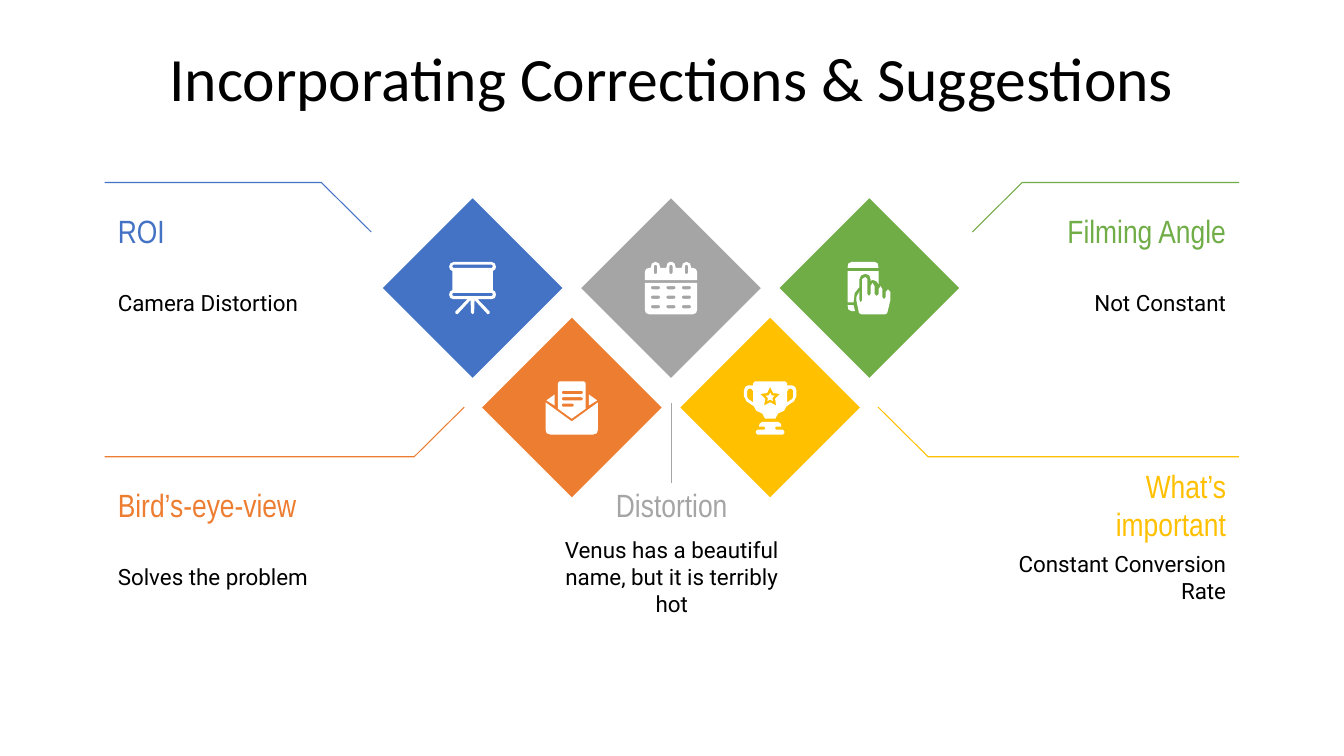
from math import cos, pi, sin

from lxml import etree
from pptx import Presentation
from pptx.dml.color import RGBColor
from pptx.enum.shapes import MSO_CONNECTOR, MSO_SHAPE
from pptx.enum.text import MSO_ANCHOR, PP_ALIGN
from pptx.oxml.ns import qn
from pptx.util import Cm, Pt

RECT = MSO_SHAPE.RECTANGLE
STRAIGHT = MSO_CONNECTOR.STRAIGHT
MIDDLE = MSO_ANCHOR.MIDDLE
LEFT, CENTER, RIGHT = PP_ALIGN.LEFT, PP_ALIGN.CENTER, PP_ALIGN.RIGHT

COLORS = {
    "blue": "4472C4", "orange": "ED7D31", "gray": "A5A5A5",
    "gold": "FFC000", "green": "70AD47", "white": "FFFFFF", "black": "000000",
}
FONTS = {
    "title": {"name": "Calibri", "size": Pt(44)},
    "heading": {"name": "Arial Narrow", "size": Pt(23)},
    "body": {"name": "Roboto", "size": Pt(16)},
}
INSET = Cm(0.33)
FRAME = {
    "word_wrap": True, "vertical_anchor": MIDDLE, "margin_left": INSET,
    "margin_right": INSET, "margin_top": INSET, "margin_bottom": INSET,
}
LEFT_EDGE, RIGHT_EDGE, MIDLINE = 2.64, 31.23, 16.93
BODY_WIDTH, HEADING_WIDTH = 6.45, 5.46
UPPER_RULE, LOWER_RULE = 4.6, 11.51
UPPER_ROW, LOWER_ROW = 7.26, 10.27
DIAMOND_SIDE, FIRST_DIAMOND, DIAMOND_STEP = 3.2, 11.91, 2.5


def rgb(color):
    return RGBColor.from_string(COLORS[color])


def set_all(target, values):
    for name, value in values.items():
        setattr(target, name, value)


def add_text(slide, words, style, color, align, left, top, width, height):
    box = slide.shapes.add_textbox(Cm(left), Cm(top), Cm(width), Cm(height))
    set_all(box.text_frame, FRAME)
    paragraph = box.text_frame.paragraphs[0]
    paragraph.alignment = align
    run = paragraph.add_run()
    run.text = words
    set_all(run.font, FONTS[style])
    run.font.color.rgb = rgb(color)


def paint(shape, color):
    shape.shadow.inherit = False
    shape.fill.solid()
    shape.fill.fore_color.rgb = rgb(color)
    shape.line.fill.background()


def add_outline(slide, contours, x=0, y=0, closed=True):
    builder = None
    for contour in contours:
        start, *rest = [(Cm(x + dx), Cm(y + dy)) for dx, dy in contour]
        if builder:
            builder.move_to(*start)
        else:
            builder = slide.shapes.build_freeform(*start)
        builder.add_line_segments(rest, close=closed)
    return builder.convert_to_shape()


def add_bent_line(slide, points, color):
    bent = add_outline(slide, [points], closed=False)
    bent.shadow.inherit = False
    bent.fill.background()
    bent.line.color.rgb = rgb(color)
    bent.line.width = Pt(0.75)


def add_line(slide, color, x1, y1, x2, y2):
    line = slide.shapes.add_connector(STRAIGHT, Cm(x1), Cm(y1), Cm(x2), Cm(y2))
    line.line.color.rgb = rgb(color)
    line.line.width = Pt(0.75)
    etree.SubElement(line._element.spPr, qn("a:effectLst"))


def add_caption(slide, heading, body, color, align, rule, heading_width, body_width):
    for words, style, ink, width, drop, height in (
        (body, "body", "black", body_width, 1.63, 2.79),
        (heading, "heading", color, heading_width, 0.67, 1.07),
    ):
        left = {LEFT: LEFT_EDGE, CENTER: MIDLINE - width / 2, RIGHT: RIGHT_EDGE - width}[align]
        add_text(slide, words, style, ink, align, left, rule + drop, width, height)


def add_callout(slide, heading, body, color, align, rule, elbow, heading_width=HEADING_WIDTH):
    edge, reach = (LEFT_EDGE, 1.26) if align == LEFT else (RIGHT_EDGE, -1.26)
    rise = 1.25 if rule == UPPER_RULE else -1.25
    add_bent_line(slide, [(elbow + reach, rule + rise), (elbow, rule), (edge, rule)], color)
    add_caption(slide, heading, body, color, align, rule, heading_width, BODY_WIDTH)


def mirrored(points):
    return [(-x, y) for x, y in points]


def symmetric(right_half):
    return right_half + mirrored(right_half)[::-1]


def pill(x, y, width, height):
    radius = min(width, height) / 2
    across, down = width / 2 - radius, height / 2 - radius
    corners = ((1, 1, 0), (-1, 1, 1), (-1, -1, 2), (1, -1, 3))
    return [(x + sx * across + radius * cos((quarter + step / 4) * pi / 2),
             y + sy * down + radius * sin((quarter + step / 4) * pi / 2))
            for sx, sy, quarter in corners for step in range(5)]


def star(x, y, radius):
    spokes = [(radius / (1 + point % 2), point * pi / 5) for point in range(10)]
    return [(x + reach * sin(angle), y - reach * cos(angle)) for reach, angle in spokes]


def board():
    frame = symmetric([
        (0.48, -0.66), (0.56, -0.62), (0.59, -0.54), (0.57, -0.47), (0.51, -0.43),
        (0.51, 0.05), (0.57, 0.09), (0.59, 0.17), (0.56, 0.25), (0.48, 0.28), (0.13, 0.28),
        (0.43, 0.59), (0.43, 0.64), (0.38, 0.66), (0.05, 0.3), (0.04, 0.62), (0, 0.66)])
    return [[frame, pill(0, -0.55, 1.02, 0.08), pill(0, 0.16, 1.02, 0.08)]]


def envelope():
    pocket = symmetric([(0, 0.35), (0.66, -0.13), (0.66, 0.56), (0.63, 0.65), (0.54, 0.68)])
    flap = [(0.43, -0.33), (0.43, -0.05), (0.64, -0.18)]
    letter = symmetric([(0.31, -0.66), (0.35, -0.62), (0.35, 0.03), (0, 0.28)])
    lines = [pill(-0.25 + width / 2, -0.38 + 0.16 * row, width, 0.08)
             for row, width in enumerate((0.53, 0.53, 0.3))]
    return [[pocket], [flap], [mirrored(flap)], [letter, *lines]]


def calendar():
    columns = (-0.39, 0, 0.39)
    page = symmetric([(0.66, -0.13), (0.66, 0.55), (0.63, 0.63), (0.55, 0.66)])
    days = [pill(x, -0.01 + 0.24 * row, 0.23, 0.08) for row in range(3) for x in columns]
    header = symmetric([
        (0.03, -0.66), (0.09, -0.62), (0.12, -0.51), (0.27, -0.51), (0.3, -0.62),
        (0.39, -0.66), (0.48, -0.62), (0.51, -0.51), (0.55, -0.51), (0.63, -0.48),
        (0.66, -0.4), (0.66, -0.2)])
    rings = [pill(x, -0.47, 0.08, 0.23) for x in columns]
    return [[page, *days], [header, *rings]]


def trophy():
    cup = symmetric([
        (0.38, -0.66), (0.43, -0.61), (0.43, -0.56), (0.55, -0.56), (0.63, -0.52),
        (0.66, -0.43), (0.66, -0.28), (0.6, -0.16), (0.41, -0.03), (0.35, 0.08),
        (0.2, 0.15), (0.13, 0.28)])
    handle = [(0.51, -0.48), (0.56, -0.46), (0.58, -0.41), (0.58, -0.28), (0.56, -0.22),
              (0.43, -0.13), (0.43, -0.41), (0.46, -0.46)]
    base = symmetric([
        (0.2, 0.36), (0.27, 0.41), (0.28, 0.48), (0.15, 0.48), (0.12, 0.52), (0.15, 0.56),
        (0.32, 0.56), (0.36, 0.6), (0.36, 0.64), (0.32, 0.68)])
    return [[cup, handle, mirrored(handle), star(0, -0.26, 0.26)], [base], [star(0, -0.26, 0.12)]]


def phone():
    foot = [(-0.55, 0.43), (-0.4, 0.43), (-0.36, 0.58), (-0.45, 0.58), (-0.53, 0.54)]
    screen = [(-0.55, -0.43), (0.23, -0.43), (0.23, -0.1), (0.18, -0.17), (0.08, -0.21),
              (0.03, -0.18), (0.03, -0.23), (0, -0.32), (-0.1, -0.36), (-0.21, -0.32),
              (-0.25, -0.23), (-0.25, -0.03), (-0.37, 0.12), (-0.4, 0.36), (-0.55, 0.36)]
    speaker = [(-0.55, -0.51), (-0.53, -0.62), (-0.45, -0.66), (0.13, -0.66),
               (0.21, -0.62), (0.23, -0.51)]
    hand = [(-0.33, 0.23), (-0.25, 0.08), (-0.25, 0.3), (-0.22, 0.36), (-0.18, 0.3),
            (-0.18, -0.23), (-0.1, -0.28), (-0.05, -0.23), (-0.05, 0.15), (-0.01, 0.2),
            (0.03, 0.15), (0.03, -0.05), (0.08, -0.13), (0.13, -0.05), (0.13, 0.15),
            (0.18, 0.2), (0.23, 0.15), (0.23, 0.03), (0.28, -0.05), (0.33, 0.03),
            (0.33, 0.23), (0.37, 0.28), (0.41, 0.23), (0.41, 0.1), (0.47, 0.03),
            (0.53, 0.1), (0.53, 0.3), (0.45, 0.63), (0.4, 0.66), (-0.2, 0.66),
            (-0.26, 0.63), (-0.33, 0.3)]
    return [[foot], [screen], [speaker], [hand]]


def add_diamonds(slide):
    icons = (("blue", board), ("orange", envelope), ("gray", calendar),
             ("gold", trophy), ("green", phone))
    side, half = Cm(DIAMOND_SIDE), DIAMOND_SIDE / 2
    for place, (color, icon) in enumerate(icons):
        x = FIRST_DIAMOND + DIAMOND_STEP * place
        y = LOWER_ROW if place % 2 else UPPER_ROW
        diamond = slide.shapes.add_shape(RECT, Cm(x - half), Cm(y - half), side, side)
        diamond.rotation = 45
        paint(diamond, color)
        for contours in icon():
            paint(add_outline(slide, contours, x, y), "white")


def main():
    deck = Presentation()
    deck.slide_width, deck.slide_height = Cm(33.87), Cm(19.05)
    slide = deck.slides.add_slide(deck.slide_layouts[6])
    add_text(slide, "Incorporating Corrections & Suggestions", "title", "black", CENTER,
             LEFT_EDGE, 1.04, RIGHT_EDGE - LEFT_EDGE, 1.78)
    add_diamonds(slide)
    add_line(slide, "gray", MIDLINE, 10.16, MIDLINE, 12.18)
    add_caption(slide, "Distortion", "Venus has a beautiful name, but it is terribly hot",
                "gray", CENTER, LOWER_RULE, 6.35, 6.35)
    add_callout(slide, "ROI", "Camera Distortion", "blue", LEFT, UPPER_RULE, 8.1)
    add_callout(slide, "Filming Angle", "Not Constant", "green", RIGHT, UPPER_RULE, 25.76)
    add_callout(slide, "Bird’s-eye-view", "Solves the problem", "orange", LEFT,
                LOWER_RULE, 10.44, BODY_WIDTH)
    add_callout(slide, "What’s important", "Constant Conversion Rate", "gold", RIGHT,
                LOWER_RULE, 23.39)
    deck.save("out.pptx")


if __name__ == "__main__":
    main()
